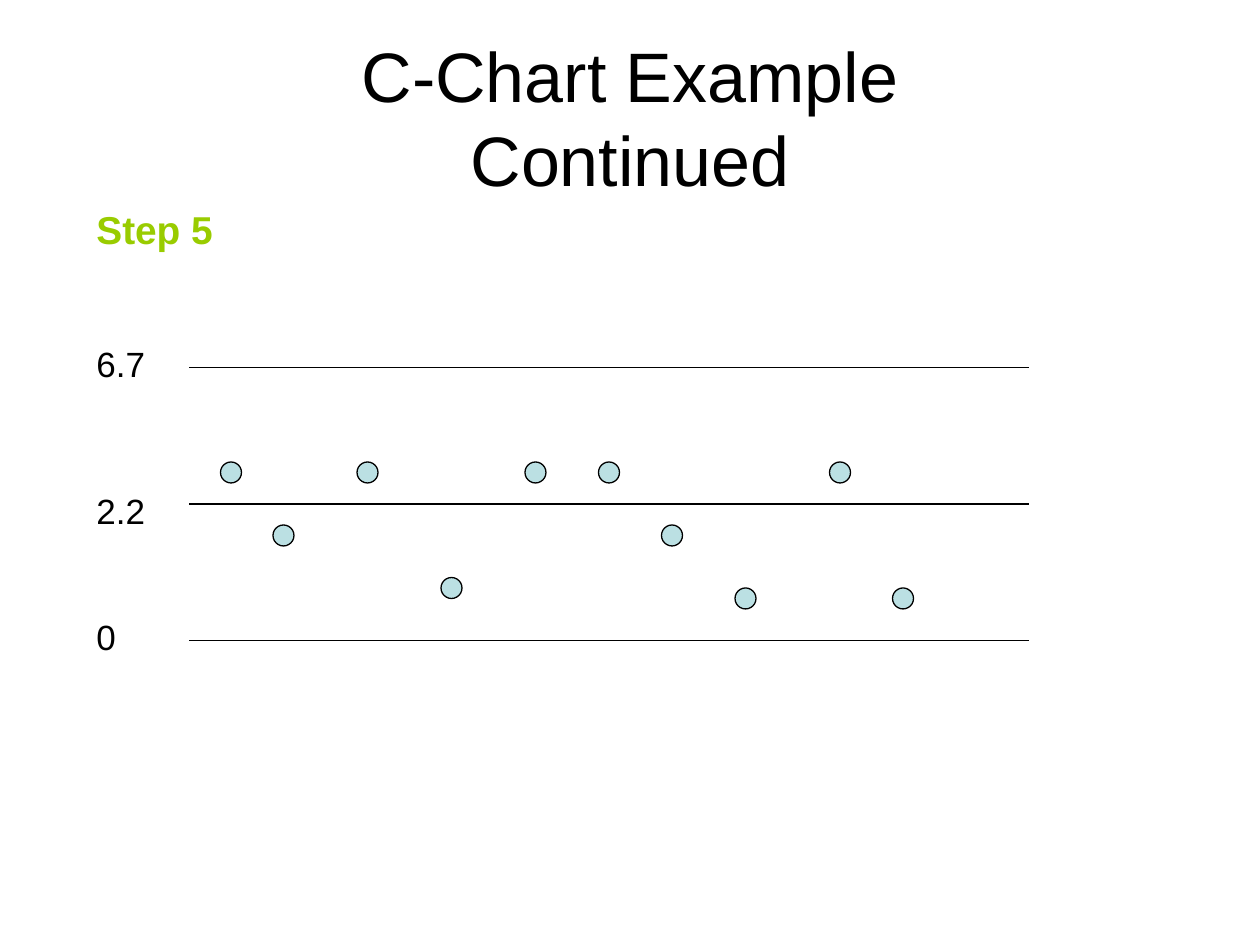
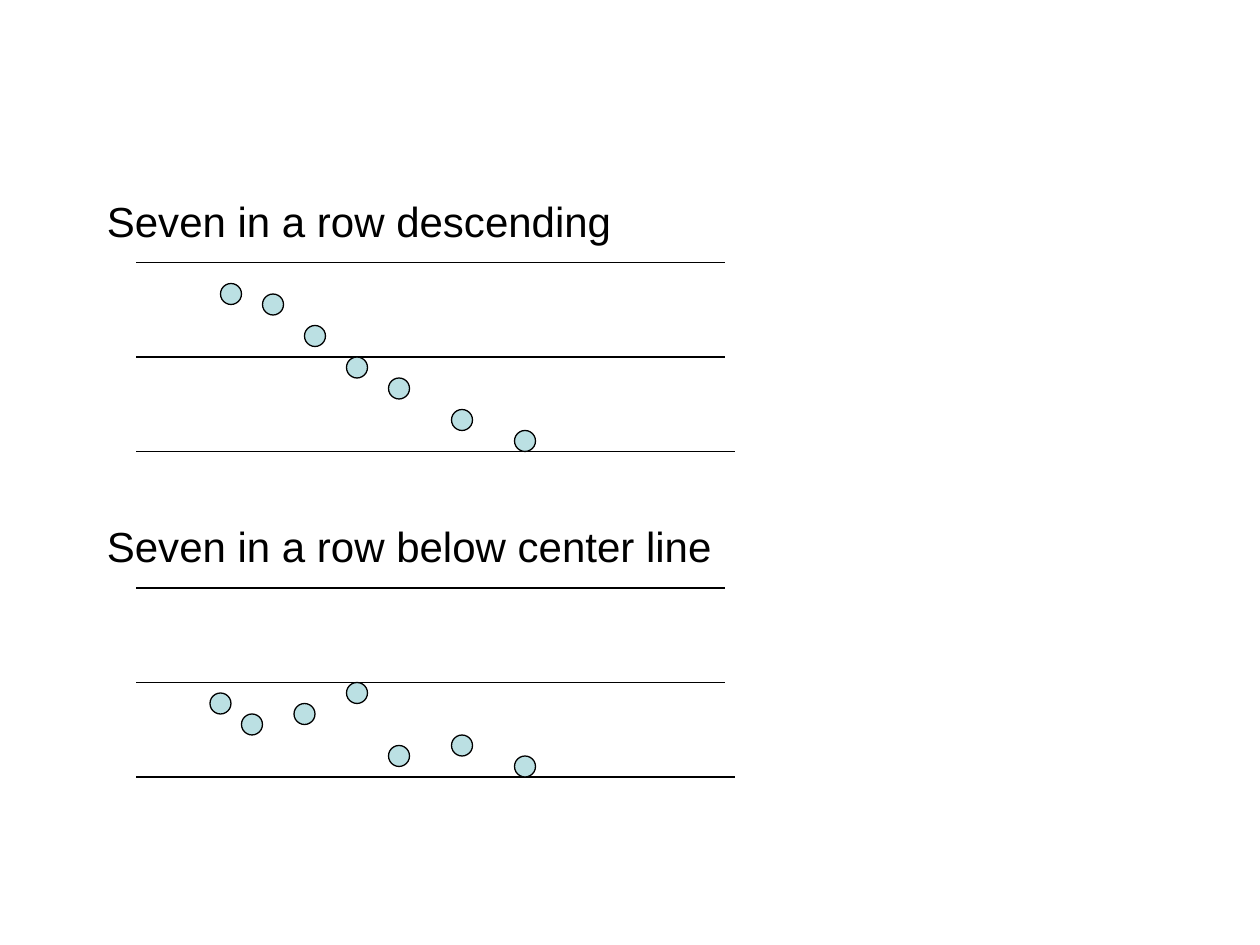
import pptx
import pptx.dml.color
import pptx.enum.shapes
import pptx.enum.text
import pptx.oxml.ns
import pptx.util
from lxml import etree

COLOURS = {"ink": "000000", "step": "99CC00", "point": "BBE0E3"}
FONT = "Arial"
GRID_CM = 2.54 / 12
POINT_SIZE = 2
LINE_WIDTH = 0.75


def grid(steps):
    return pptx.util.Cm(steps * GRID_CM)


def colour(name):
    return pptx.dml.color.RGBColor.from_string(COLOURS[name])


def add_text(slide, text, left, top, width, height, size, ink="ink",
             bold=False, space_before=0, centred=False):
    box = slide.shapes.add_textbox(grid(left), grid(top), grid(width), grid(height))
    frame = box.text_frame
    frame.word_wrap = True
    paragraph = frame.paragraphs[0]
    paragraph.text = text
    paragraph.space_before = pptx.util.Pt(space_before)
    if centred:
        frame.vertical_anchor = pptx.enum.text.MSO_ANCHOR.MIDDLE
        paragraph.alignment = pptx.enum.text.PP_ALIGN.CENTER
    for run in paragraph.runs:
        run.font.name = FONT
        run.font.size = pptx.util.Pt(size)
        run.font.bold = bold
        run.font.color.rgb = colour(ink)


def style_line(line):
    line.color.rgb = colour("ink")
    line.width = pptx.util.Pt(LINE_WIDTH)


def add_limit_line(slide, start, end, height):
    limit = slide.shapes.add_connector(
        pptx.enum.shapes.MSO_CONNECTOR.STRAIGHT,
        grid(start), grid(height), grid(end), grid(height))
    style_line(limit.line)
    etree.SubElement(limit._element.spPr, pptx.oxml.ns.qn("a:effectLst"))


def add_points(slide, points, top=0):
    for left, drop in points:
        point = slide.shapes.add_shape(
            pptx.enum.shapes.MSO_SHAPE.OVAL,
            grid(left), grid(top + drop), grid(POINT_SIZE), grid(POINT_SIZE))
        point.shadow.inherit = False
        point.fill.solid()
        point.fill.fore_color.rgb = colour("point")
        style_line(point.line)


def add_run_pattern(slide, caption, top, points):
    for row, end in enumerate((69, 69, 70)):
        add_limit_line(slide, 13, end, top + 9 * row)
    add_points(slide, points, top)
    add_text(slide, caption, 9, top - 7, 80, 6, 24, space_before=15)


def build_c_chart(slide):
    add_text(slide, "C-Chart Example\nContinued", 6, 3.6, 108, 15, 40, centred=True)
    add_text(slide, "Step 5", 8, 19, 62, 6, 22.2, "step", bold=True, space_before=6)
    for row, (limit, label_top) in enumerate((("6.7", 32), ("2.2", 46), ("0", 58))):
        add_limit_line(slide, 18, 98, 35 + 13 * row)
        add_text(slide, limit, 8, label_top, 12, 5.25, 20, space_before=12.5)
    add_points(slide, [(21, 44), (26, 50), (34, 44), (42, 55), (50, 44),
                       (57, 44), (63, 50), (70, 56), (79, 44), (85, 56)])


def build_run_patterns(slide):
    add_run_pattern(slide, "Seven in a row descending", 25,
                    [(21, 2), (25, 3), (29, 6), (33, 9), (37, 11), (43, 14), (49, 16)])
    add_run_pattern(slide, "Seven in a row below center line", 56,
                    [(20, 10), (23, 12), (28, 11), (33, 9), (37, 15), (43, 14), (49, 16)])


def main():
    deck = pptx.Presentation()
    deck.slide_width = pptx.util.Cm(25.4)
    deck.slide_height = pptx.util.Cm(19.05)
    for build in (build_c_chart, build_run_patterns):
        build(deck.slides.add_slide(deck.slide_layouts[6]))
    deck.save("out.pptx")


if __name__ == "__main__":
    main()
